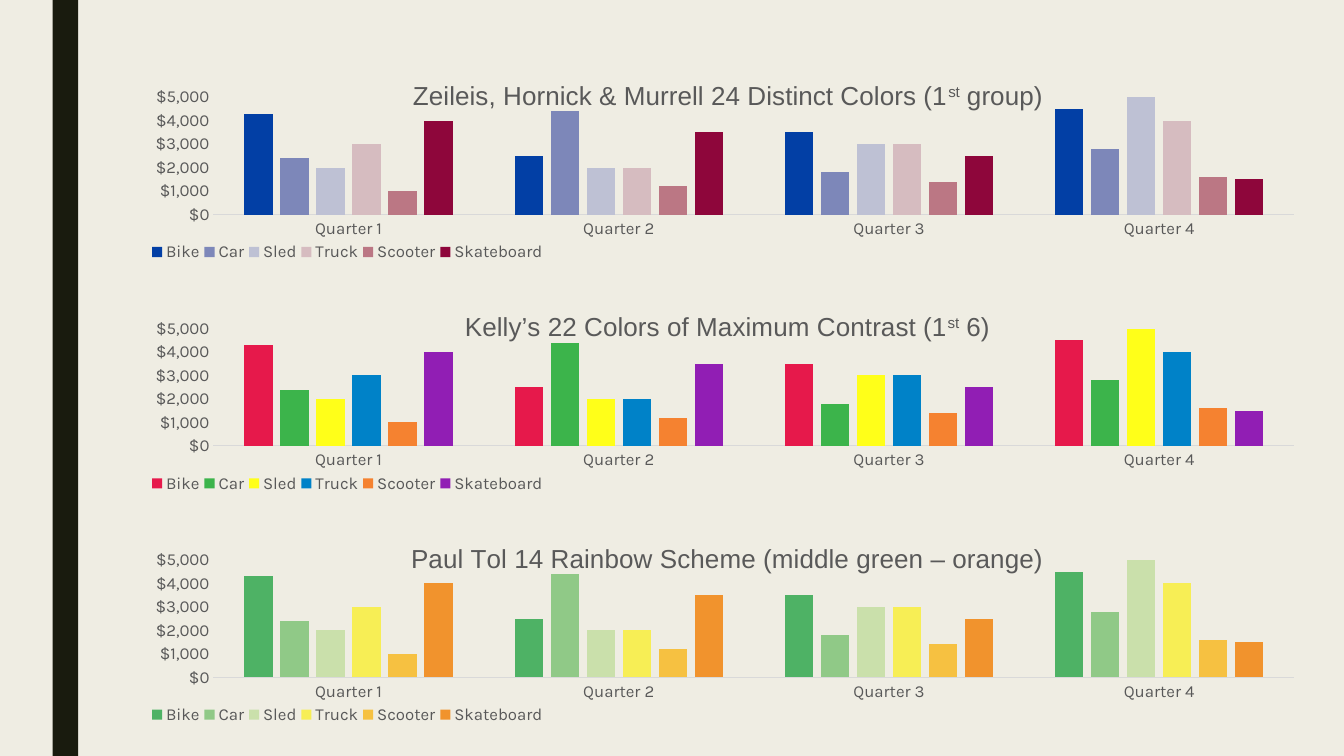
from dataclasses import dataclass

from lxml.etree import SubElement
from pptx import Presentation
from pptx.chart.data import CategoryChartData
from pptx.dml.color import RGBColor as RGB
from pptx.enum.chart import XL_CHART_TYPE as CT, XL_LEGEND_POSITION as LP, XL_TICK_MARK as TM
from pptx.enum.shapes import MSO_SHAPE as MS
from pptx.oxml.ns import qn
from pptx.util import Cm, Pt


@dataclass(frozen=True)
class Theme:
    back: RGB = RGB.from_string("EFEDE3")
    stripe: RGB = RGB.from_string("191B0E")
    text: RGB = RGB.from_string("595959")
    axis: RGB = RGB.from_string("D9D9D9")
    body_font: str = "Karla"
    title_font: str = "Arial"
    label: Pt = Pt(12)
    title: Pt = Pt(18.6)


T = Theme()
CHART_SIZE = Cm(29.26), Cm(5.05)
PLOT_BOX = Cm(1.67), Cm(0.77), Cm(27.24), Cm(2.96)
LEGEND_BOX = Cm(0), Cm(4.32), Cm(10.09), Cm(0.7)
QUARTERS = [f"Quarter {n}" for n in range(1, 5)]
SALES = {
    "Bike": (4300, 2500, 3500, 4500),
    "Car": (2400, 4400, 1800, 2800),
    "Sled": (2000, 2000, 3000, 5000),
    "Truck": (3000, 2000, 3000, 4000),
    "Scooter": (1000, 1200, 1400, 1600),
    "Skateboard": (4000, 3500, 2500, 1500),
}
PALETTES = [
    (("Zeileis, Hornick & Murrell 24 Distinct Colors (1", "st", " group)"),
     (Cm(6.62), Cm(0.23)),
     ("023FA5", "7D87B9", "BEC1D4", "D6BCC0", "BB7784", "8E063B")),
    (("Kelly’s 22 Colors of Maximum Contrast (1", "st", " 6)"),
     (Cm(7.93), Cm(0.23)),
     ("E6194B", "3CB44B", "FFFF19", "0082C8", "F58230", "911EB4")),
    (("Paul Tol 14 Rainbow Scheme (middle green – orange)",),
     (Cm(6.53), Cm(0.18)),
     ("4EB265", "90C987", "CAE0AB", "F7EE55", "F6C141", "F1932D")),
]


def style(font, size, name):
    font.size, font.name, font.bold = size, name, False
    font.color.rgb = T.text


def place(parent, box, target=None):
    old = parent.find(qn("c:layout"))
    if old is not None:
        parent.remove(old)
    layout = SubElement(parent, qn("c:layout"))
    manual = SubElement(layout, qn("c:manualLayout"))
    values = {"layoutTarget": target} if target else {}
    values |= {"xMode": "edge", "yMode": "edge"}
    values |= {tag: length / full for tag, length, full in zip("xywh", box, CHART_SIZE * 2)}
    for tag, value in values.items():
        SubElement(manual, qn(f"c:{tag}")).set("val", str(value))
    overlay = parent.find(qn("c:overlay"))
    if overlay is None:
        parent.insert(0, layout)
    else:
        overlay.addprevious(layout)


def add_title(chart, parts, corner):
    title = chart.chart_title
    p = title.text_frame.paragraphs[0]
    for i, part in enumerate(parts):
        r = p.add_run()
        r.text = part
        if i == 1:
            r._r.get_or_add_rPr().set("baseline", "30000")
    style(p.font, T.title, T.title_font)
    title._element.find(qn("c:overlay")).set("val", "1")
    place(title._element, corner)


def format_axes(chart):
    cat, val = chart.category_axis, chart.value_axis
    for axis in (cat, val):
        axis.major_tick_mark = axis.minor_tick_mark = TM.NONE
        axis.has_major_gridlines = False
        style(axis.tick_labels.font, T.label, T.body_font)
    cat.format.line.color.rgb = T.axis
    cat.format.line.width = Pt(0.75)
    val.format.line.fill.background()
    val.minimum_scale, val.maximum_scale, val.major_unit = 0, 5000, 1000
    val.tick_labels.number_format = '"$"#,##0'
    val.tick_labels.number_format_is_linked = False


def add_legend(chart):
    chart.has_legend = True
    legend = chart.legend
    legend.position = LP.BOTTOM
    legend.include_in_layout = False
    style(legend.font, T.label, T.body_font)
    place(legend._element, LEGEND_BOX)


def add_palette_chart(slide, box, title, title_corner, colors):
    data = CategoryChartData()
    data.categories = QUARTERS
    for name, values in SALES.items():
        data.add_series(name, values)
    chart = slide.shapes.add_chart(CT.COLUMN_CLUSTERED, *box, data).chart
    style(chart.font, T.label, T.body_font)
    plot = chart.plots[0]
    plot.gap_width, plot.overlap, plot.vary_by_categories = 219, -27, False
    for series, color in zip(plot.series, colors):
        series.format.fill.solid()
        series.format.fill.fore_color.rgb = RGB.from_string(color)
    format_axes(chart)
    add_legend(chart)
    add_title(chart, title, title_corner)
    place(plot._element.getparent(), PLOT_BOX, "inner")


def add_stripe(slide, box):
    sp = slide.shapes.add_shape(MS.RECTANGLE, *box)
    sp.shadow.inherit = False
    sp.fill.solid()
    sp.fill.fore_color.rgb = T.stripe
    sp.line.fill.background()


def main():
    prs = Presentation()
    prs.slide_width, prs.slide_height = Cm(33.87), Cm(19.05)
    slide = prs.slides.add_slide(prs.slide_layouts[6])
    slide.background.fill.solid()
    slide.background.fill.fore_color.rgb = T.back
    add_stripe(slide, (Cm(1.33), 0, Cm(0.64), prs.slide_height))
    for i, palette in enumerate(PALETTES):
        box = Cm(3.71), Cm(1.68 + 5.83 * i), *CHART_SIZE
        add_palette_chart(slide, box, *palette)
    prs.save("out.pptx")


if __name__ == "__main__":
    main()
